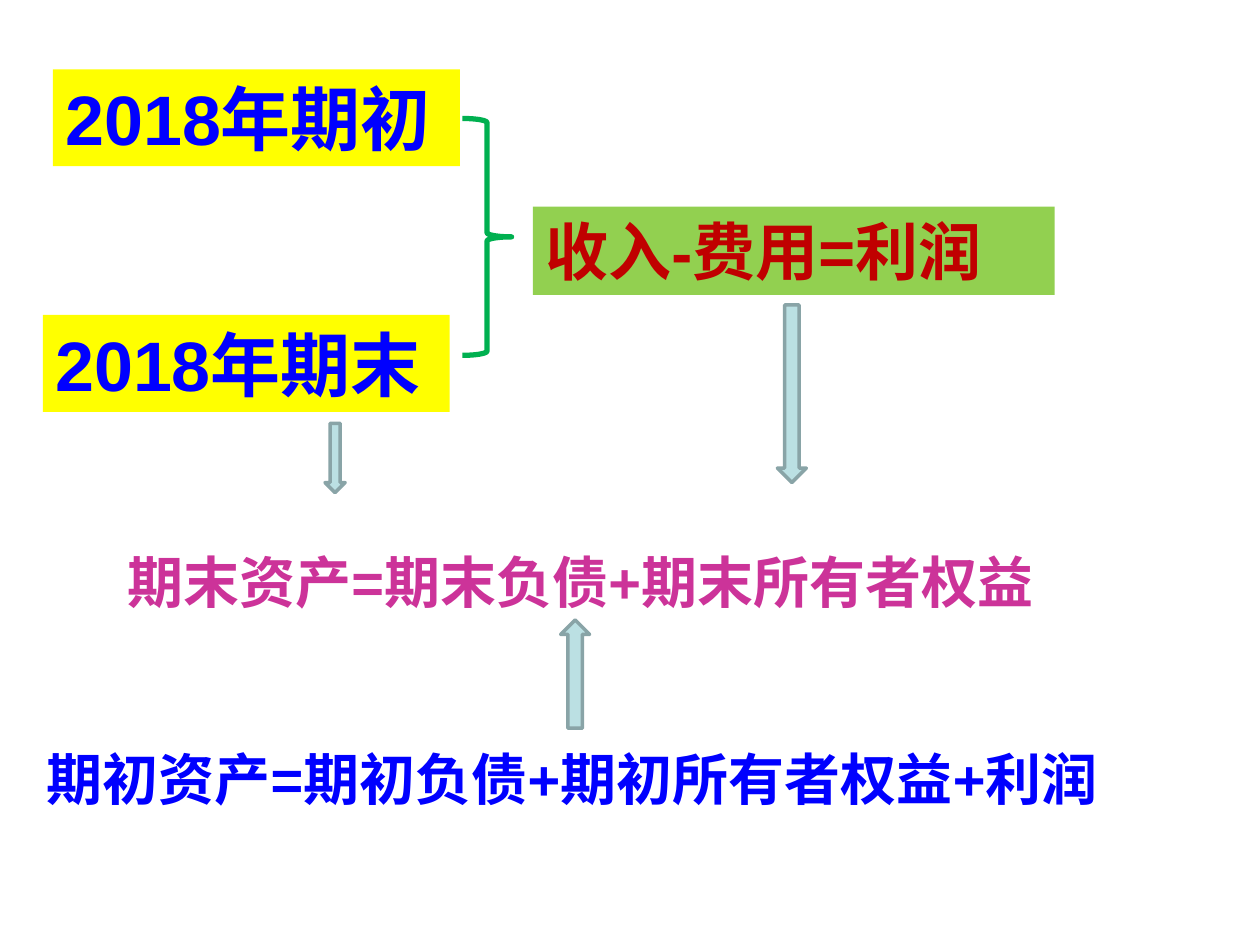
import pptx
import pptx.dml.color
import pptx.enum.shapes
import pptx.enum.text
import pptx.util

Inches = pptx.util.Inches
Pt = pptx.util.Pt
SHAPES = pptx.enum.shapes.MSO_SHAPE

LABELS = [
    ("2018年期初", (0.42, 0.55, 3.23, 0.77), 40, "0000FF", "FFFF00"),
    ("2018年期末", (0.34, 2.5, 3.23, 0.77), 40, "0000FF", "FFFF00"),
    ("收入-费用=利润", (4.23, 1.64, 4.14, 0.7), 36, "C00000", "92D050"),
    ("期末资产=期末负债+期末所有者权益", (0.91, 4.3, 7.82, 0.64), 32, "CC3399", None),
    ("期初资产=期初负债+期初所有者权益+利润", (0.27, 5.86, 9.18, 0.64), 32, "0000FF", None),
]
BRACE = (SHAPES.RIGHT_BRACE, (3.67, 0.94, 0.39, 1.88), None, "00B050", 3)
ARROWS = [
    (kind, box, "BBE0E3", "89A4A7", 2)
    for kind, box in [
        (SHAPES.DOWN_ARROW, (2.58, 3.36, 0.16, 0.55)),
        (SHAPES.DOWN_ARROW, (6.17, 2.42, 0.23, 1.41)),
        (SHAPES.UP_ARROW, (4.45, 4.92, 0.23, 0.86)),
    ]
]


def color(value):
    return pptx.dml.color.RGBColor.from_string(value)


def set_fill(shape, value):
    if value:
        shape.fill.solid()
        shape.fill.fore_color.rgb = color(value)
    else:
        shape.fill.background()


def add_label(slide, text, box, size, text_color, fill):
    shape = slide.shapes.add_textbox(*map(Inches, box))
    set_fill(shape, fill)
    frame = shape.text_frame
    frame.text = text
    frame.word_wrap = False
    frame.auto_size = pptx.enum.text.MSO_AUTO_SIZE.SHAPE_TO_FIT_TEXT
    font = frame.paragraphs[0].runs[0].font
    font.name = "Arial"
    font.size = Pt(size)
    font.bold = True
    font.color.rgb = color(text_color)


def add_symbol(slide, kind, box, fill, line_color, line_width):
    shape = slide.shapes.add_shape(kind, *map(Inches, box))
    shape.shadow.inherit = False
    set_fill(shape, fill)
    shape.line.color.rgb = color(line_color)
    shape.line.width = Pt(line_width)


def main():
    presentation = pptx.Presentation()
    presentation.slide_width = Inches(10)
    presentation.slide_height = Inches(7.5)
    slide = presentation.slides.add_slide(presentation.slide_layouts[6])
    for label in LABELS:
        add_label(slide, *label)
    for symbol in [BRACE, *ARROWS]:
        add_symbol(slide, *symbol)
    presentation.save("out.pptx")


if __name__ == "__main__":
    main()
